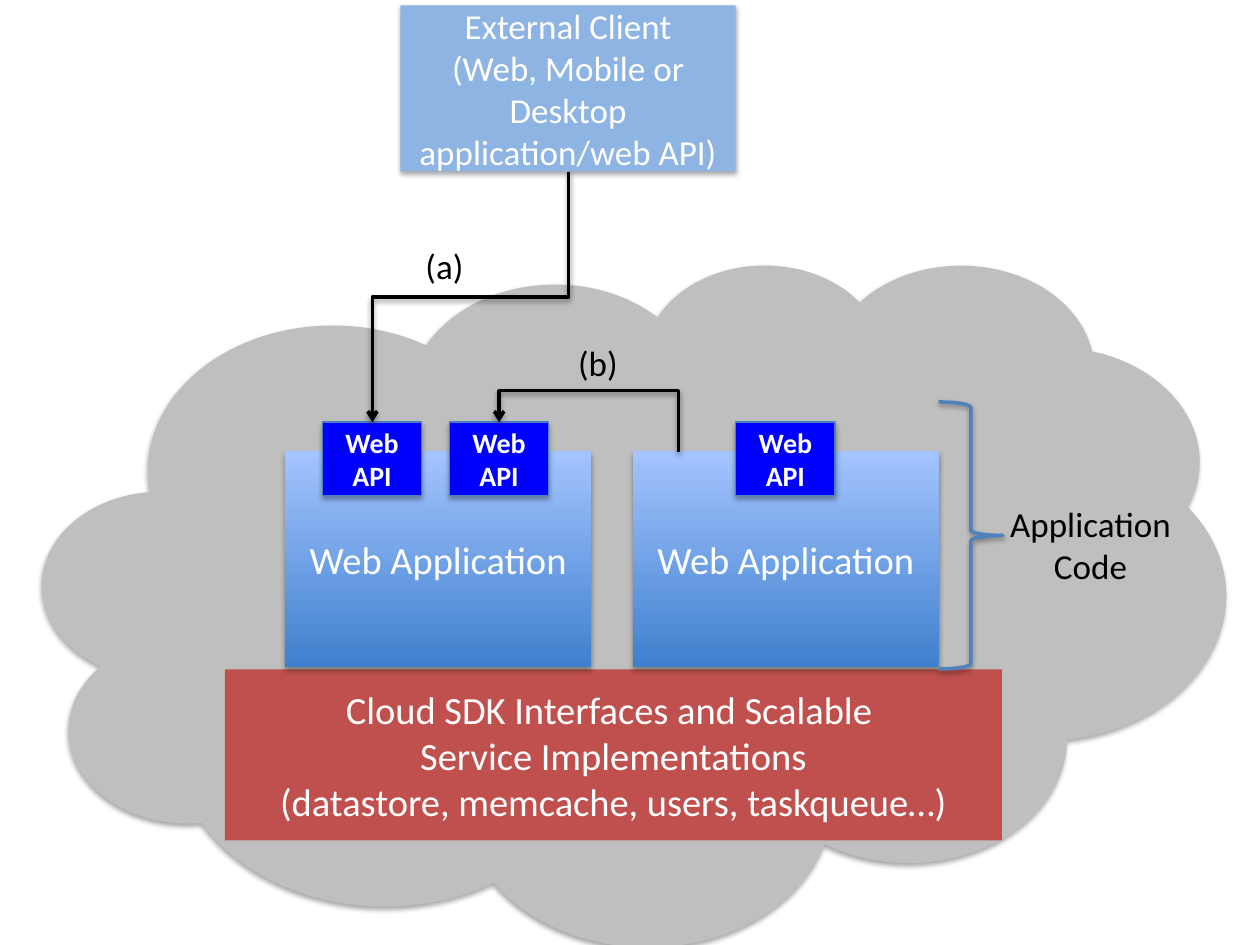
from dataclasses import dataclass
from lxml.etree import SubElement
from pptx import Presentation
from pptx.dml.color import RGBColor as RGB
from pptx.enum.shapes import MSO_CONNECTOR as CONN, MSO_SHAPE as SHAPE
from pptx.enum.text import MSO_ANCHOR as ANCHOR, PP_ALIGN as ALIGN
from pptx.oxml.ns import qn
from pptx.util import Pt


@dataclass(frozen=True)
class Theme:
    font: str = "Calibri"
    white: str = "FFFFFF"
    black: str = "000000"
    cloud: str = "BFBFBF"
    sdk: str = "C0504D"
    client: str = "8EB4E3"
    api: str = "0000FF"
    api_line: str = "4B7EBC"
    brace: str = "4F81BD"
    app: tuple = ("3F80CE", "A4C4FF")
    large: int = 22
    medium: int = 20
    small: int = 16


T = Theme()


def rgb(code):
    return RGB.from_string(code)


def add_shadow(effects, alpha, dist):
    sh = SubElement(effects, qn("a:outerShdw"), blurRad=str(Pt(3.1)),
                    dist=str(Pt(dist)), dir="5400000", rotWithShape="0")
    clr = SubElement(sh, qn("a:srgbClr"), val=T.black)
    SubElement(clr, qn("a:alpha"), val=str(alpha * 1000))


def write(sp, lines, size, color, bold=False, align=ALIGN.CENTER):
    tf = sp.text_frame
    for i, line in enumerate(lines):
        p = tf.add_paragraph() if i else tf.paragraphs[0]
        p.alignment = align
        r = p.add_run()
        r.text = line
        r.font.name = T.font
        r.font.size = Pt(size)
        r.font.bold = bold
        r.font.color.rgb = rgb(color)


def add_box(slide, kind, box, fill=None, line=None, width=0.75, shadow=(35, 1.8)):
    sp = slide.shapes.add_shape(kind, *map(Pt, box))
    if isinstance(fill, tuple):
        sp.fill.gradient()
        sp.fill.gradient_angle = 90
        for stop, code in zip(sp.fill.gradient_stops, fill):
            stop.color.rgb = rgb(code)
    elif fill:
        sp.fill.solid()
        sp.fill.fore_color.rgb = rgb(fill)
    else:
        sp.fill.background()
    if line:
        sp.line.color.rgb = rgb(line)
        sp.line.width = Pt(width)
    else:
        sp.line.fill.background()
    sp.shadow.inherit = False
    if shadow:
        add_shadow(sp._element.spPr.find(qn("a:effectLst")), *shadow)
    tf = sp.text_frame
    tf.word_wrap = True
    tf.vertical_anchor = ANCHOR.MIDDLE
    return sp


def add_label(slide, box, lines, align=ALIGN.LEFT):
    sp = slide.shapes.add_textbox(*map(Pt, box))
    sp.text_frame.word_wrap = False
    write(sp, lines, T.medium, T.black, align=align)


def add_elbow(slide, box, turn, preset, adjusts=()):
    x, y, w, h = box
    cx = slide.shapes.add_connector(CONN.ELBOW, *map(Pt, (x, y, x + w, y + h)))
    cx.line.color.rgb = rgb(T.black)
    cx.line.width = Pt(2)
    pr = cx._element.spPr
    pr.find(qn("a:xfrm")).set("rot", str(turn * 60000))
    geom = pr.find(qn("a:prstGeom"))
    geom.set("prst", preset)
    av = geom.find(qn("a:avLst"))
    for i, value in enumerate(adjusts, 1):
        SubElement(av, qn("a:gd"), name=f"adj{i}", fmla=f"val {value}")
    SubElement(pr.find(qn("a:ln")), qn("a:tailEnd"), type="arrow")
    add_shadow(SubElement(pr, qn("a:effectLst")), 38, 1.6)


def draw_platform(slide, box):
    x, y, w, h = box
    add_box(slide, SHAPE.CLOUD, box, T.cloud)
    sp = add_box(slide, SHAPE.RECTANGLE, (x + 104, y + 232, 444, 97.7), T.sdk, shadow=None)
    write(sp, ["Cloud SDK Interfaces and Scalable ", "Service Implementations",
               "(datastore, memcache, users, taskqueue…)"], T.large, T.white)


def draw_application(slide, box, api_offsets):
    x, y, w, h = box
    sp = add_box(slide, SHAPE.RECTANGLE, box, T.app)
    write(sp, ["Web Application"], T.large, T.white)
    for dx in api_offsets:
        sp = add_box(slide, SHAPE.RECTANGLE, (x + dx, y - 16.8, 56.8, 41.8),
                     T.api, T.api_line)
        write(sp, ["Web API"], T.small, T.white, bold=True)


def draw_client(slide, box):
    sp = add_box(slide, SHAPE.RECTANGLE, box, T.client)
    write(sp, ["External Client", "(Web, Mobile or Desktop application/web API)"],
          T.medium, T.white)


def draw_calls(slide, box):
    x, y, w, h = box
    add_elbow(slide, (x - 15.3, y + 15.6, 143.1, 112.2), 90, "bentConnector3")
    add_elbow(slide, (x + 72.6, y + 143.2, 102.4, 16.8), 180, "bentConnector4", (0, 206900))
    add_label(slide, (x + 23.4, y + 38, 36.7, 31.5), ["(a)"])
    add_label(slide, (x + 110.6, y + 93.4, 37.4, 31.5), ["(b)"])


def draw_code_brace(slide, box):
    x, y, w, h = box
    add_box(slide, SHAPE.RIGHT_BRACE, (x, y, 36.7, h), line=T.brace, width=2,
            shadow=(38, 1.6))
    add_label(slide, (x + 33.1, y + 54, w - 33.1, 55.7), ["Application", "Code"],
              ALIGN.CENTER)


prs = Presentation()
prs.slide_width, prs.slide_height = Pt(720), Pt(540)
slide = prs.slides.add_slide(prs.slide_layouts[6])
draw_platform(slide, (24.5, 150.5, 676, 389.5))
for left, offsets in ((163, (21.2, 93.8)), (361.6, (58.8,))):
    draw_application(slide, (left, 258, 174.8, 123.3), offsets)
draw_client(slide, (228.8, 3, 191.6, 95))
draw_calls(slide, (212.6, 98, 175, 160))
draw_code_brace(slide, (536.4, 229.7, 140.4, 152.6))
prs.save("out.pptx")
